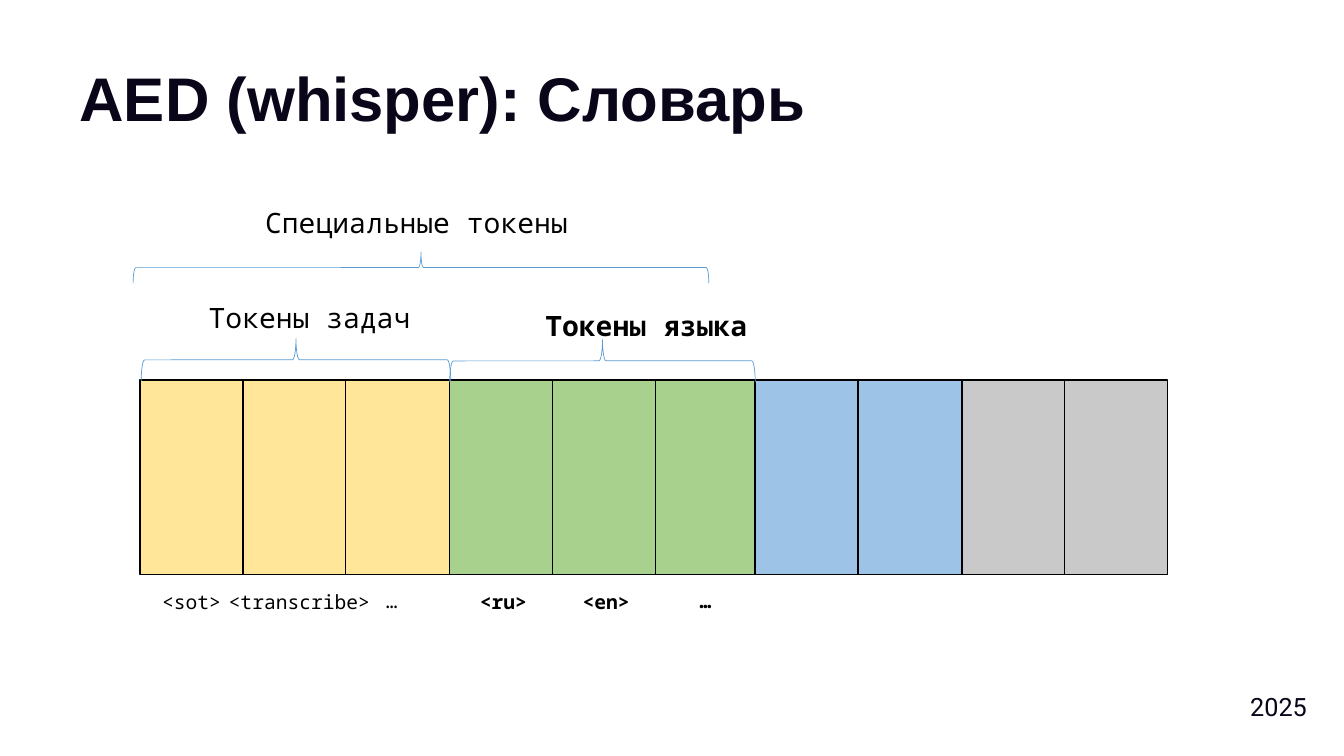
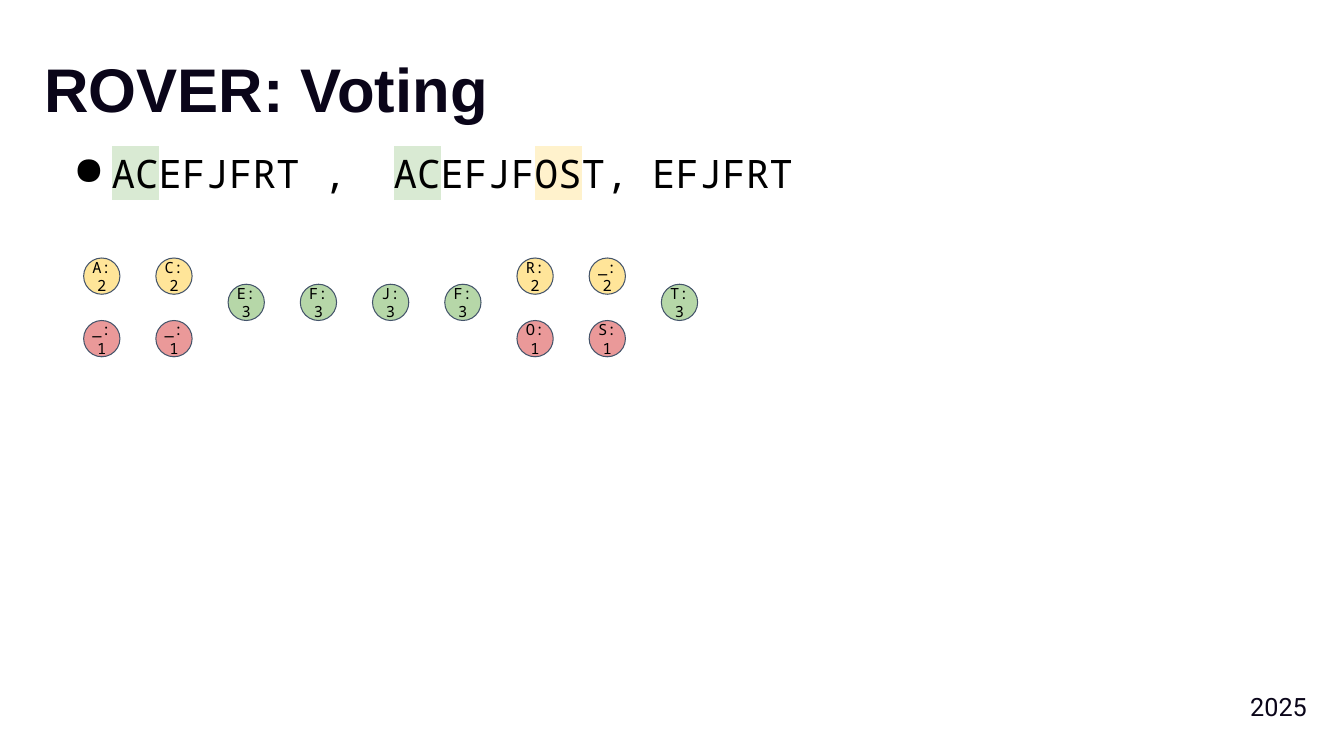
from dataclasses import dataclass

from lxml import etree
from pptx import Presentation
from pptx.dml.color import RGBColor
from pptx.enum.shapes import MSO_SHAPE
from pptx.enum.text import MSO_ANCHOR, PP_ALIGN
from pptx.oxml.ns import qn
from pptx.util import Inches, Pt

RECTANGLE, OVAL, BRACE = MSO_SHAPE.RECTANGLE, MSO_SHAPE.OVAL, MSO_SHAPE.LEFT_BRACE
TOP, MIDDLE = MSO_ANCHOR.TOP, MSO_ANCHOR.MIDDLE
LEFT, CENTER, RIGHT = PP_ALIGN.LEFT, PP_ALIGN.CENTER, PP_ALIGN.RIGHT

# Shared look
INK, BLACK, WHITE = "0A0519", "000000", "FFFFFF"
BRACE_BLUE, CIRCLE_EDGE = "5B9BD5", "44546A"
TITLE_FONT, MONO_FONT, FOOTER_FONT = "Arial", "Noto Sans Mono", "Roboto"

# Vocabulary cells
CELL_TOP, CELL_WIDTH, CELL_HEIGHT, CELL_PITCH = 3.77, 1.13, 1.93, 1.02
ROW_RIGHT = 11.58

# Voting circles
CIRCLE_SIZE, FIRST_CIRCLE, LAST_CIRCLE = 0.36, 0.83, 6.56
UPPER_ROW, MIDDLE_ROW, LOWER_ROW = 2.56, 2.82, 3.18
VOTE_COLOURS = {1: "EA9999", 2: "FFE599", 3: "B6D7A8"}


@dataclass
class Area:
    left: float
    top: float
    width: float
    height: float

    def lengths(self):
        return [Inches(v) for v in (self.left, self.top, self.width, self.height)]


@dataclass
class Style:
    font: str
    size: float
    colour: str = BLACK
    bold: bool = False


@dataclass
class TokenGroup:
    left: float
    count: int
    colour: str


@dataclass
class Label:
    text: str
    area: Area
    size: float
    bold: bool = False


@dataclass
class Part:
    text: str
    highlight: str = ""


TITLE_STYLE = Style(TITLE_FONT, 44, INK, True)
FOOTER_STYLE = Style(FOOTER_FONT, 18, INK)

TOKEN_GROUPS = [
    TokenGroup(1.39, 3, "FFE699"),
    TokenGroup(4.46, 3, "A9D18E"),
    TokenGroup(7.49, 2, "9DC3E6"),
    TokenGroup(9.54, 2, "C9C9C9"),
]
BRACES = [
    Area(1.4, 3.36, 3.07, 0.42),
    Area(1.32, 2.5, 5.71, 0.31),
    Area(4.46, 3.37, 3.03, 0.42),
]
LABELS = [
    Label("Токены задач", Area(1.97, 2.93, 2.41, 0.44), 20),
    Label("Токены языка", Area(5.31, 3.01, 2.29, 0.44), 20, True),
    Label("Специальные токены", Area(2.53, 1.99, 3.29, 0.44), 20),
    Label("<sot>", Area(1.51, 5.8, 0.97, 0.34), 14),
    Label("<transcribe>", Area(2.17, 5.8, 2.01, 0.34), 14),
    Label("…", Area(3.73, 5.79, 0.37, 0.34), 14),
    Label("<ru>", Area(4.66, 5.8, 0.82, 0.34), 14, True),
    Label("<en>", Area(5.68, 5.8, 0.82, 0.34), 14, True),
    Label("…", Area(6.84, 5.79, 0.37, 0.34), 14, True),
]
HYPOTHESES = [
    Part("AC", "D9EAD3"), Part("EFJFRT ,  "), Part("AC", "D9EAD3"),
    Part("EFJF"), Part("OS", "FFF2CC"), Part("T, EFJFRT"),
]
# One tuple per position: (symbol, votes) from top to bottom
VOTES = [
    [("A", 2), ("_", 1)], [("C", 2), ("_", 1)],
    [("E", 3)], [("F", 3)], [("J", 3)], [("F", 3)],
    [("R", 2), ("O", 1)], [("_", 2), ("S", 1)], [("T", 3)],
]


def rgb(colour: str) -> RGBColor:
    return RGBColor.from_string(colour)


def format_span(span, style: Style) -> None:
    span.font.name = style.font
    span.font.size = Pt(style.size)
    span.font.bold = style.bold
    span.font.color.rgb = rgb(style.colour)


def highlight_span(span, colour: str) -> None:
    mark = etree.Element(qn("a:highlight"))
    etree.SubElement(mark, qn("a:srgbClr")).set("val", colour)
    span.font._element.find(qn("a:latin")).addprevious(mark)


def set_insets(frame, inset: float) -> None:
    frame.margin_left = frame.margin_right = Inches(inset)
    frame.margin_top = frame.margin_bottom = Inches(inset)


def write(frame, text: str, style: Style, align=LEFT, anchor=TOP):
    frame.word_wrap = True
    frame.vertical_anchor = anchor
    frame.text = text
    para = frame.paragraphs[0]
    para.alignment = align
    for span in para.runs:
        format_span(span, style)
    return para


def add_text(page, area: Area, text: str, style: Style, align=LEFT, anchor=TOP):
    box = page.shapes.add_textbox(*area.lengths())
    write(box.text_frame, text, style, align, anchor)
    return box


def add_figure(page, kind, area: Area, fill: str, edge: str, weight: float):
    figure = page.shapes.add_shape(kind, *area.lengths())
    figure.shadow.inherit = False
    if fill:
        figure.fill.solid()
        figure.fill.fore_color.rgb = rgb(fill)
    else:
        figure.fill.background()
    figure.line.color.rgb = rgb(edge)
    figure.line.width = Pt(weight)
    return figure


def add_brace(page, area: Area) -> None:
    """Draw a brace opening downwards that covers the area."""
    upright = Area(
        area.left + (area.width - area.height) / 2,
        area.top + (area.height - area.width) / 2,
        area.height, area.width,
    )
    add_figure(page, BRACE, upright, "", BRACE_BLUE, 0.5).rotation = 90


def add_page(deck, title: str, area: Area, anchor):
    """Add a page with the shared background, title and footer."""
    page = deck.slides.add_slide(deck.slide_layouts[6])
    page.background.fill.solid()
    page.background.fill.fore_color.rgb = rgb(WHITE)
    box = add_text(page, area, title, TITLE_STYLE, anchor=anchor)
    set_insets(box.text_frame, 0.1)
    box.text_frame.paragraphs[0].line_spacing = 0.9
    add_text(page, Area(11.64, 6.81, 1.42, 0.38), "2025", FOOTER_STYLE, RIGHT)
    return page


def add_hypotheses(page) -> None:
    box = page.shapes.add_textbox(*Area(0.51, 1.43, 7.59, 0.74).lengths())
    box.text_frame.word_wrap = True
    set_insets(box.text_frame, 0.1)
    para = box.text_frame.paragraphs[0]
    para.line_spacing = 0.9
    properties = para._p.get_or_add_pPr()
    properties.set("marL", str(Inches(0.5)))
    properties.set("indent", str(Inches(-0.38)))
    etree.SubElement(properties, qn("a:buChar")).set("char", "●")
    for part in HYPOTHESES:
        span = para.add_run()
        span.text = part.text
        format_span(span, Style(MONO_FONT, 28))
        if part.highlight:
            highlight_span(span, part.highlight)


def build_vocabulary(deck) -> None:
    page = add_page(deck, "AED (whisper): Словарь", Area(0.69, 0.28, 11.22, 1.45), MIDDLE)
    for group in TOKEN_GROUPS:
        for index in range(group.count):
            left = group.left + index * CELL_PITCH
            width = min(CELL_WIDTH, ROW_RIGHT - left)
            cell = Area(left, CELL_TOP, width, CELL_HEIGHT)
            add_figure(page, RECTANGLE, cell, group.colour, BLACK, 1)
    for brace in BRACES:
        add_brace(page, brace)
    for label in LABELS:
        style = Style(MONO_FONT, label.size, bold=label.bold)
        add_text(page, label.area, label.text, style)


def build_voting(deck) -> None:
    page = add_page(deck, "ROVER: Voting", Area(0.34, 0.49, 9.32, 0.63), TOP)
    add_hypotheses(page)
    pitch = (LAST_CIRCLE - FIRST_CIRCLE) / (len(VOTES) - 1)
    for column, candidates in enumerate(VOTES):
        rows = [MIDDLE_ROW] if len(candidates) == 1 else [UPPER_ROW, LOWER_ROW]
        for top, (symbol, votes) in zip(rows, candidates):
            area = Area(FIRST_CIRCLE + column * pitch, top, CIRCLE_SIZE, CIRCLE_SIZE)
            circle = add_figure(page, OVAL, area, VOTE_COLOURS[votes], CIRCLE_EDGE, 0.75)
            set_insets(circle.text_frame, 0)
            write(circle.text_frame, f"{symbol}:{votes}", Style(MONO_FONT, 11), CENTER, MIDDLE)


def main() -> None:
    deck = Presentation()
    deck.slide_width, deck.slide_height = Inches(13.33), Inches(7.5)
    build_vocabulary(deck)
    build_voting(deck)
    deck.save("out.pptx")


if __name__ == "__main__":
    main()
